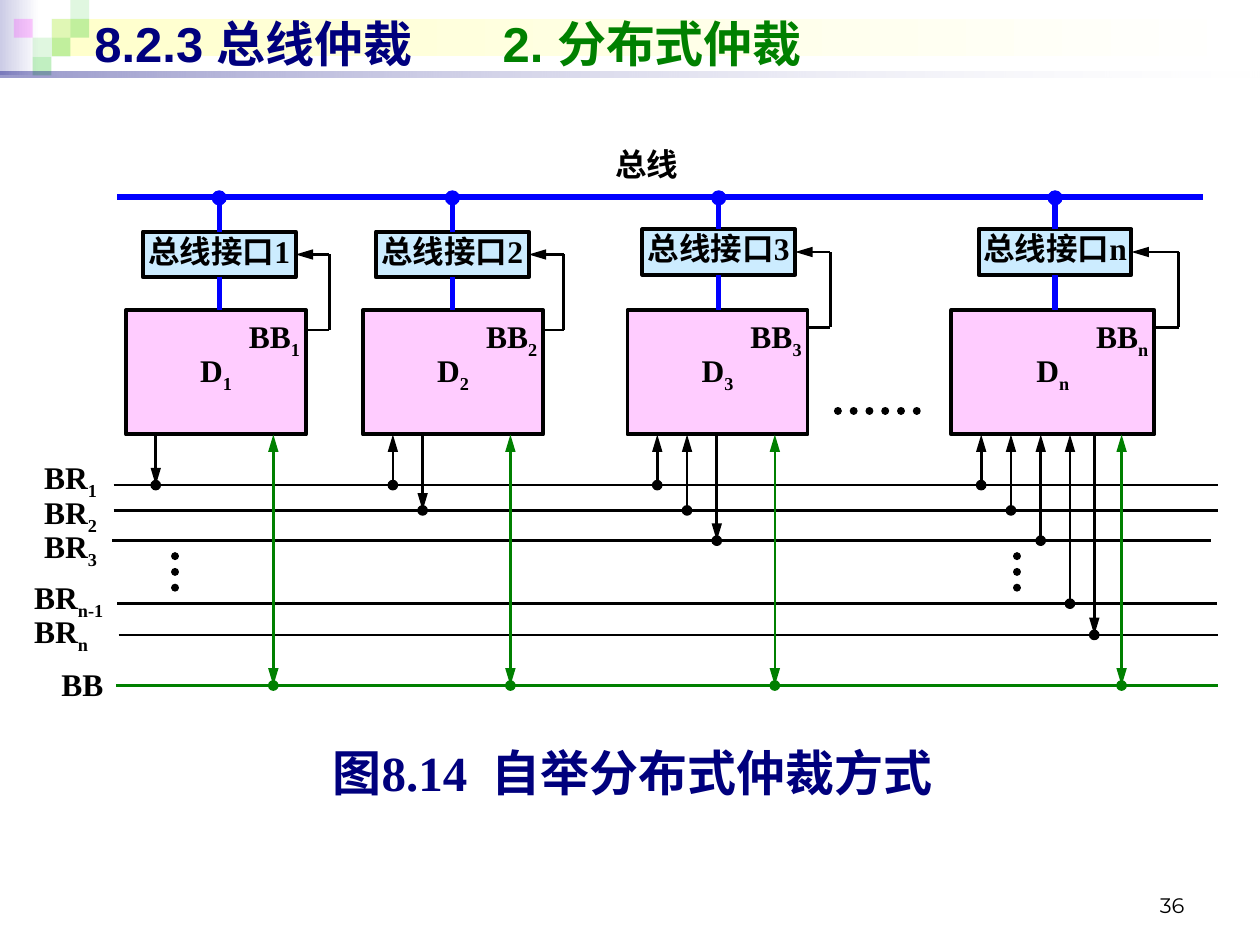
"""Builds a slide that shows self-selecting distributed bus arbitration."""
from lxml import etree
from pptx import Presentation
from pptx.dml.color import RGBColor
from pptx.enum.dml import MSO_LINE
from pptx.enum.shapes import MSO_CONNECTOR, MSO_SHAPE
from pptx.enum.text import MSO_ANCHOR, PP_ALIGN
from pptx.oxml.ns import qn
from pptx.util import Cm, Pt

RECT, DOT = MSO_SHAPE.RECTANGLE, MSO_SHAPE.FLOWCHART_CONNECTOR
STRAIGHT, ROUND_DOT = MSO_CONNECTOR.STRAIGHT, MSO_LINE.ROUND_DOT
TOP, MIDDLE, BOTTOM = MSO_ANCHOR.TOP, MSO_ANCHOR.MIDDLE, MSO_ANCHOR.BOTTOM
LEFT, CENTER, RIGHT = PP_ALIGN.LEFT, PP_ALIGN.CENTER, PP_ALIGN.RIGHT
COLORS = {
    "black": "000000", "white": "FFFFFF", "navy": "00007D", "green": "008000",
    "blue": "0000FF", "pink": "FFCCFF", "sky": "CCECFF", "lilac": "CCCCE6",
    "cream": "FFFFCC", "lime": "33CC33", "magenta": "FF00FF",
}


def rgb(name):
    return RGBColor.from_string(COLORS[name])


class Diagram:
    """Holds the text style and the current slide."""

    def __init__(self, slide, font="Times New Roman", size=18):
        self.s, self.font, self.size = slide, font, size

    def style(self, r, color="black", size=None, font=None, bold=True):
        r.font.name, r.font.size = font or self.font, Pt(size or self.size)
        r.font.bold, r.font.color.rgb = bold, rgb(color)

    def label(self, sp, lines, align=LEFT, anchor=TOP, spacing=None, wrap=True,
              inset=0, **style):
        tf = sp.text_frame
        tf.word_wrap, tf.vertical_anchor = wrap, anchor
        tf.margin_left = tf.margin_right = Cm(inset)
        tf.margin_top = tf.margin_bottom = Cm(inset / 2)
        for i, line in enumerate(lines):
            p = tf.add_paragraph() if i else tf.paragraphs[0]
            p.alignment, p.line_spacing = align, spacing
            for level, part in enumerate(line.split("_")):
                r = p.add_run()
                r.text = part
                self.style(r, **style)
                if level:
                    r._r.get_or_add_rPr().set("baseline", "-25000")

    def title(self, parts, tab):
        sp = self.s.shapes.title
        self.s.shapes._spTree.append(sp._element)
        sp.left, sp.top, sp.width, sp.height = Cm(1.65), Cm(0.13), Cm(22.86), Cm(1.45)
        sp.text_frame.vertical_anchor = MIDDLE
        p = sp.text_frame.paragraphs[0]
        p.alignment = LEFT
        tabs = etree.SubElement(p._p.get_or_add_pPr(), qn("a:tabLst"))
        etree.SubElement(tabs, qn("a:tab"), pos=str(int(Cm(tab))), algn="l")
        for text, color in parts:
            r = p.add_run()
            r.text = text
            self.style(r, color, 28, "Arial")

    def text(self, x, y, w, h, lines, **style):
        sp = self.s.shapes.add_textbox(Cm(x), Cm(y), Cm(w), Cm(h))
        self.label(sp, lines, **style)

    def shape(self, x, y, w, h, fill, line=None, width=2.25, kind=RECT):
        sp = self.s.shapes.add_shape(kind, Cm(x), Cm(y), Cm(w), Cm(h))
        sp.shadow.inherit = False
        sp.fill.solid()
        sp.fill.fore_color.rgb = rgb(fill)
        if line:
            sp.line.color.rgb, sp.line.width = rgb(line), Pt(width)
        else:
            sp.line.fill.background()
        return sp

    def fade(self, sp, percents):
        colors = list(sp._element.spPr.iter(qn("a:srgbClr")))
        for color, percent in zip(colors, percents):
            etree.SubElement(color, qn("a:alpha"), val=str(percent * 1000))

    def tint(self, x, y, side, fill, percent):
        self.fade(self.shape(x, y, side, side, fill), [percent])

    def gradient(self, x, y, w, h, start, alphas=(100, 100)):
        sp = self.shape(x, y, w, h, start)
        sp.fill.gradient()
        sp.fill.gradient_angle = 0
        for stop, color in zip(sp.fill.gradient_stops, (start, "white")):
            stop.color.rgb = rgb(color)
        self.fade(sp, alphas)

    def dot(self, x, y, color="black", d=0.19):
        self.shape(x - d / 2, y - d / 2, d, d, color, color, 0.75, DOT)

    def line(self, x1, y1, x2, y2, color="black", width=1.5, ends=(), dotted=False,
             begin=None, end=None):
        c = self.s.shapes.add_connector(STRAIGHT, Cm(x1), Cm(y1), Cm(x2), Cm(y2))
        c.line.color.rgb, c.line.width = rgb(color), Pt(width)
        ln = c.line._get_or_add_ln()
        if dotted:
            c.line.dash_style = ROUND_DOT
            ln.set("cap", "rnd")
        for tag in ends:
            etree.SubElement(ln, qn(f"a:{tag}"), type="triangle", w="med", len="lg")
        etree.SubElement(c._element.spPr, qn("a:effectLst"))
        if begin:
            c.begin_connect(*begin)
        if end:
            c.end_connect(*end)


BUS_Y, BOX_Y, BOX_H = 3.97, 6.25, 2.51
BOX_BOTTOM = BOX_Y + BOX_H
BB_Y = 13.82
REQUEST_LINES = [(2.29, 24.56, 9.78), (2.29, 24.56, 10.29), (2.26, 24.41, 10.9),
                 (2.36, 24.54, 12.17), (2.39, 24.56, 12.8)]
TAPS = [0.6, 1.2, 1.8, 2.39, 2.88]
DEVICES = [
    dict(name="1", x=2.54, w=3.63, center=4.42, top=4.67, loop_x=6.64, requests=1),
    dict(name="2", x=7.32, w=3.63, center=9.12, top=4.67, loop_x=11.36, requests=2),
    dict(name="3", x=12.65, w=3.63, center=14.49, top=4.62, loop_x=16.74, requests=3),
    dict(name="n", x=19.18, w=4.09, center=21.27, top=4.62, loop_x=23.76, requests=5),
]


def add_background(d):
    d.gradient(0, 0, 0.79, 1.52, "lilac")
    d.gradient(1.04, 0.38, 24.26, 0.76, "cream")
    for col, row, color, percent in [
            (2, 1, "lime", 15), (3, 0, "lime", 15), (3, 1, "lime", 30),
            (1, 2, "lime", 15), (0, 1, "magenta", 20), (2, 2, "lime", 30),
            (1, 3, "lime", 30)]:
        d.tint(0.28 + col * 0.38, row * 0.38, 0.38, color, percent)
    d.gradient(0, 1.44, 25.4, 0.13, "navy", (40, 10))


def add_device(d, name, x, w, center, top, loop_x, requests):
    right, loop_y = x + w, top + 0.46
    box = d.shape(x, BOX_Y, w, BOX_H, "pink", "black")
    d.label(box, [f"D_{name}"], align=CENTER, anchor=MIDDLE)
    d.text(right - 2.02, 6.53, 1.9, 0.6, [f"BB_{name}"], align=RIGHT, spacing=0.72)

    port = d.shape(center - 1.54, top, 3.08, 0.92, "sky", "black")
    d.label(port, [f"总线接口{name}"], align=CENTER, wrap=False)
    d.line(center, BUS_Y, center, top, "blue", 3, end=(port, 0))
    d.line(center, top + 0.92, center, BOX_Y, "blue", 3, begin=(port, 2))
    d.dot(center, BUS_Y + 0.02, "blue", 0.28)

    d.line(right, loop_y + 1.52, loop_x, loop_y + 1.52)
    d.line(loop_x, loop_y + 1.52, loop_x, loop_y)
    d.line(loop_x, loop_y, center + 1.54, loop_y, ends=["tailEnd"], end=(port, 3))

    for i in range(requests):
        tap, y = x + TAPS[i], REQUEST_LINES[i][2]
        is_own = i == requests - 1
        d.line(tap, BOX_BOTTOM, tap, y, ends=["tailEnd" if is_own else "headEnd"])
        d.dot(tap, y)
    busy = right - 0.66
    d.line(busy, BOX_BOTTOM, busy, BB_Y, "green", ends=["headEnd", "tailEnd"])
    d.dot(busy, BB_Y, "green")


def main():
    prs = Presentation()
    prs.slide_width, prs.slide_height = Cm(25.4), Cm(19.05)
    d = Diagram(prs.slides.add_slide(prs.slide_layouts[5]))
    add_background(d)
    d.title([("8.2.3 总线仲裁\t", "navy"), ("2. 分布式仲裁", "green")], tab=8.23)

    d.text(12.4, 2.92, 1.65, 0.91, ["总线"])
    d.line(2.36, BUS_Y, 24.26, BUS_Y, "blue", 3)
    for x1, x2, y in REQUEST_LINES:
        d.line(x1, y, x2, y)
    d.line(2.34, BB_Y, 24.56, BB_Y, "green")
    for device in DEVICES:
        add_device(d, **device)

    d.line(16.89, 8.28, 18.59, 8.28, width=4.5, dotted=True)
    for x in (3.53, 20.5):
        d.line(x, 11.21, x, 12.04, width=4.5, dotted=True)

    d.text(0.89, 9.32, 2.21, 2.01, ["BR_1", "BR_2", "BR_3"], spacing=0.8)
    d.text(0.69, 11.73, 2.21, 1.4, ["BR_n-1", "BR_n"], spacing=0.8)
    d.text(1.24, 13.28, 1.45, 1.02, ["BB"], anchor=MIDDLE)
    d.text(5.41, 14.78, 14.68, 1.55, ["图8.14  自举分布式仲裁方式"], align=CENTER,
           anchor=MIDDLE, color="navy", size=28)
    d.text(18.21, 17.35, 5.92, 1.27, ["36"], align=RIGHT, anchor=BOTTOM, inset=0.25,
           size=12, font="Montserrat", bold=False)
    prs.save("out.pptx")


if __name__ == "__main__":
    main()
